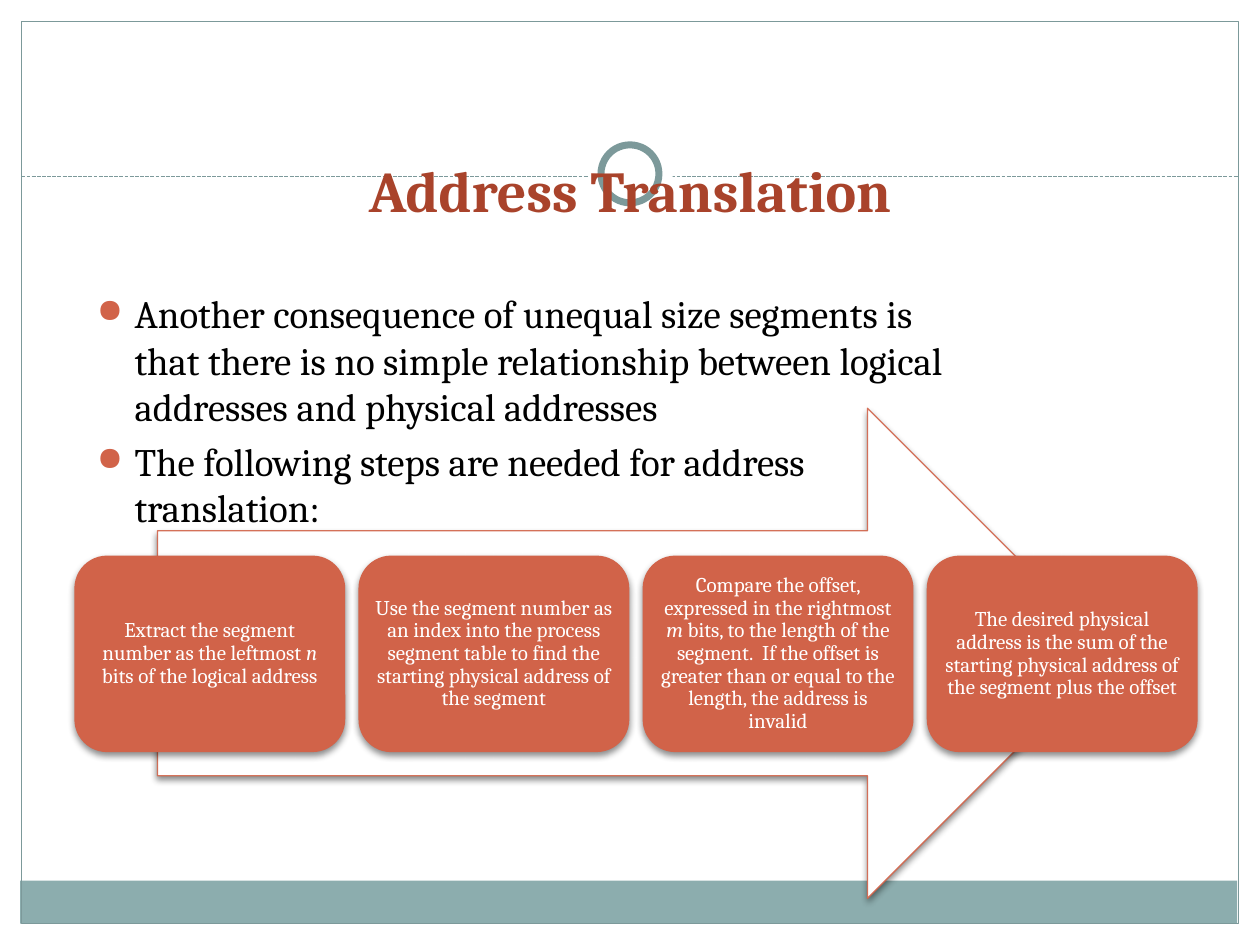
from dataclasses import dataclass
from typing import NamedTuple, Optional

from lxml import etree
from pptx import Presentation
from pptx import util as u
from pptx.dml.color import RGBColor
from pptx.enum import dml, shapes, text
from pptx.oxml import ns


@dataclass(frozen=True)
class Theme:
    font: str = "Cambria"
    paper: str = "FFFFFF"
    ink: str = "000000"
    accent: str = "D16349"
    heading: str = "A9432B"
    frame: str = "7C999A"
    footer: str = "8CADAE"
    title_size: float = 33
    body_size: float = 22.2
    step_size: float = 12


class Box(NamedTuple):
    left: float
    top: float
    width: float
    height: float


class Panel(NamedTuple):
    box: Box
    fill: Optional[str] = None
    line: Optional[str] = None
    line_width: float = 0.75
    kind: int = shapes.MSO_SHAPE.RECTANGLE


class Run(NamedTuple):
    text: str
    italic: bool = False


THEME = Theme()
OVAL = shapes.MSO_SHAPE.OVAL

BACKDROP = [
    Panel(Box(0.16, 6.99, 9.66, 0.34), fill=THEME.footer),
    Panel(Box(0.17, 0.17, 9.66, 7.16), line=THEME.frame),
]
RING = [
    Panel(Box(4.67, 1.05, 0.67, 0.67), fill=THEME.paper, kind=OVAL),
    Panel(Box(4.77, 1.15, 0.46, 0.46), THEME.paper, THEME.frame, 4, OVAL),
]
BULLETS = [
    [Run("Another consequence of unequal size segments is that there is no simple "
         "relationship between logical addresses and physical addresses")],
    [Run("The following steps are needed for address translation:")],
]
STEPS = [
    [Run("Extract the segment number as the leftmost "), Run("n", True),
     Run(" bits of the logical address")],
    [Run("Use the segment number as an index into the process segment table to find "
         "the starting physical address of the segment")],
    [Run("Compare the offset, expressed in the rightmost "), Run("m", True),
     Run(" bits, to the length of the segment.  If the offset is greater than or "
         "equal to the length, the address is invalid")],
    [Run("The desired physical address is the sum of the starting physical address "
         "of the segment plus the offset")],
]
FIRST_STEP = Box(0.59, 4.41, 2.15, 1.56)
STEP_PITCH = 2.255


def rgb(code: str) -> RGBColor:
    return RGBColor.from_string(code)


def inches(box: Box) -> list:
    return [u.Inches(length) for length in box]


def add_xml(parent, tag: str, **attributes):
    return etree.SubElement(parent, ns.qn(tag), attributes)


def add_panel(slide, panel: Panel):
    shape = slide.shapes.add_shape(panel.kind, *inches(panel.box))
    shape.shadow.inherit = False
    if panel.fill:
        shape.fill.solid()
        shape.fill.fore_color.rgb = rgb(panel.fill)
    else:
        shape.fill.background()
    if panel.line:
        shape.line.color.rgb = rgb(panel.line)
        shape.line.width = u.Pt(panel.line_width)
    else:
        shape.line.fill.background()
    return shape


def add_soft_shadow(shape) -> None:
    effects = shape._element.spPr.find(ns.qn("a:effectLst"))
    shadow = add_xml(effects, "a:outerShdw", blurRad=str(u.Pt(4)), dist=str(u.Pt(2)),
                     dir="5400000", algn="ctr", rotWithShape="0")
    color = add_xml(shadow, "a:srgbClr", val="000000")
    add_xml(color, "a:alpha", val="45000")


def add_bullet(paragraph) -> None:
    properties = paragraph._p.get_or_add_pPr()
    properties.set("marL", str(u.Inches(0.3)))
    properties.set("indent", str(u.Inches(-0.3)))
    add_xml(add_xml(properties, "a:buClr"), "a:srgbClr", val=THEME.accent)
    add_xml(properties, "a:buSzPct", val="85000")
    add_xml(properties, "a:buChar", char="●")


def write(frame, paragraphs, *, size, color, bold=False, bullet=False,
          align=text.PP_ALIGN.LEFT, anchor=text.MSO_ANCHOR.TOP,
          before=0.0, after=0.0, spacing=1.0, inset=None) -> None:
    frame.word_wrap = True
    frame.vertical_anchor = anchor
    if inset is not None:
        frame.margin_left = frame.margin_right = u.Inches(inset)
        frame.margin_top = frame.margin_bottom = u.Inches(inset)
    for index, runs in enumerate(paragraphs):
        paragraph = frame.add_paragraph() if index else frame.paragraphs[0]
        paragraph.alignment = align
        paragraph.line_spacing = spacing
        paragraph.space_before = u.Pt(before * size)
        paragraph.space_after = u.Pt(after * size)
        if bullet:
            add_bullet(paragraph)
        for part in runs:
            run = paragraph.add_run()
            run.text = part.text
            run.font.name = THEME.font
            run.font.size = u.Pt(size)
            run.font.bold = bold
            run.font.italic = part.italic
            run.font.color.rgb = rgb(color)


def add_divider(slide) -> None:
    y = u.Inches(1.4)
    divider = slide.shapes.add_connector(
        shapes.MSO_CONNECTOR.STRAIGHT, u.Inches(0.17), y, u.Inches(9.83), y)
    divider.line.color.rgb = rgb(THEME.frame)
    divider.line.width = u.Pt(0.75)
    divider.line.dash_style = dml.MSO_LINE.SQUARE_DOT
    add_xml(divider._element.spPr, "a:effectLst")


def add_arrow(slide) -> None:
    arrow = add_panel(slide, Panel(Box(1.25, 3.24, 7.58, 3.89), THEME.paper,
                                   THEME.accent, kind=shapes.MSO_SHAPE.RIGHT_ARROW))
    line_color = next(arrow.line._ln.iter(ns.qn("a:srgbClr")))
    add_xml(line_color, "a:alpha", val="90000")
    add_soft_shadow(arrow)


def add_step(slide, index: int, runs: list) -> None:
    box = FIRST_STEP._replace(left=FIRST_STEP.left + index * STEP_PITCH)
    step = add_panel(slide, Panel(box, THEME.accent,
                                  kind=shapes.MSO_SHAPE.ROUNDED_RECTANGLE))
    add_soft_shadow(step)
    write(step.text_frame, [runs], size=THEME.step_size, color=THEME.paper,
          align=text.PP_ALIGN.CENTER, anchor=text.MSO_ANCHOR.MIDDLE,
          spacing=0.9, after=0.35, inset=0.05)


def main() -> None:
    deck = Presentation()
    deck.slide_width, deck.slide_height = u.Inches(10), u.Inches(7.5)
    slide = deck.slides.add_slide(deck.slide_layouts[6])

    # Frame, footer band and ring on the dashed divider
    for panel in BACKDROP:
        add_panel(slide, panel)
    add_divider(slide)
    for panel in RING:
        add_panel(slide, panel)

    # Title and bullets
    title = slide.shapes.add_textbox(*inches(Box(0.72, 0.5, 8.56, 1.33)))
    write(title.text_frame, [[Run("Address Translation")]], size=THEME.title_size,
          color=THEME.heading, bold=True, align=text.PP_ALIGN.CENTER,
          anchor=text.MSO_ANCHOR.BOTTOM)
    body = slide.shapes.add_textbox(*inches(Box(0.67, 2.25, 7, 2.08)))
    write(body.text_frame, BULLETS, size=THEME.body_size, color=THEME.ink,
          bullet=True, before=0.2)

    # Process arrow with its steps
    add_arrow(slide)
    for index, runs in enumerate(STEPS):
        add_step(slide, index, runs)

    deck.save("out.pptx")


if __name__ == "__main__":
    main()
